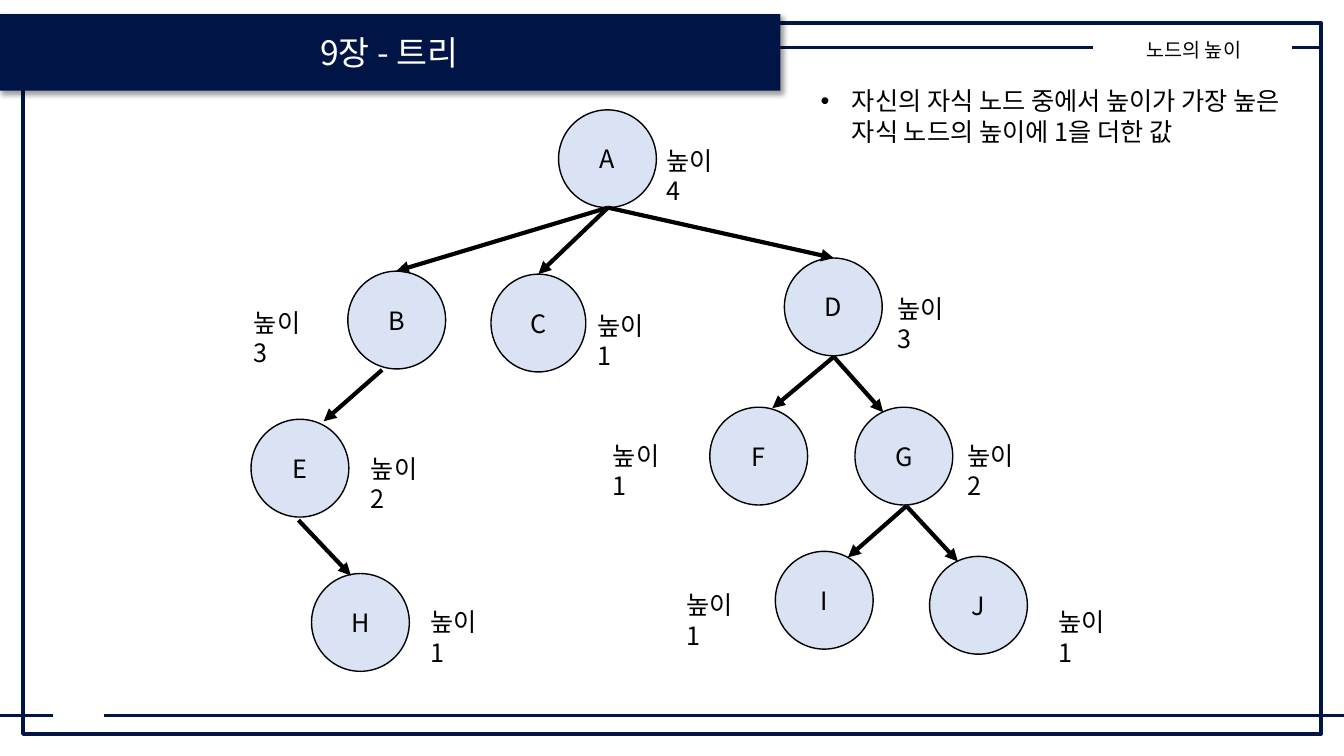
from collections import namedtuple
from dataclasses import dataclass

from lxml.etree import SubElement
from pptx import Presentation
from pptx.dml.color import RGBColor
from pptx.enum.shapes import MSO_CONNECTOR, MSO_SHAPE
from pptx.enum.text import MSO_ANCHOR as Anchor, MSO_AUTO_SIZE as AutoSize, PP_ALIGN as Align
from pptx.oxml.ns import qn
from pptx.util import Pt

EMU_PER_PX = 9144  # 100 px to the inch


@dataclass(frozen=True)
class Theme:
    font: str = "Noto Sans CJK KR"
    navy: str = "001545"
    node: str = "DAE3F3"
    ink: str = "000000"
    paper: str = "FFFFFF"
    title: int = 24
    body: int = 18
    caption: int = 14
    frame_line: int = 3
    rule_line: int = 2
    node_line: int = 1


THEME = Theme()
Box = namedtuple("Box", "left top width height")
Node = namedtuple("Node", "x y width height label parent entry")

NODE_SIZE = 97
LABEL_SIZE = (84, 40)

# Places are relative to the tree box; entry is where the parent's arrow lands
NODES = {
    "A": Node(314, 9, NODE_SIZE, 4, (411, 39), None, None),
    "B": Node(105, 169, NODE_SIZE, 3, (2, 200), "A", (153, 169)),
    "C": Node(247, 172, 94, 1, (343, 203), "A", (294, 172)),
    "D": Node(538, 156, NODE_SIZE, 3, (640, 186), "A", (587, 156)),
    "E": Node(9, 316, NODE_SIZE, 2, (118, 345), "B", (81, 318)),
    "F": Node(464, 304, NODE_SIZE, 1, (358, 332), "D", (526, 305)),
    "G": Node(608, 304, NODE_SIZE, 2, (710, 332), "D", (636, 309)),
    "H": Node(69, 469, NODE_SIZE, 1, (177, 497), "E", (108, 471)),
    "I": Node(529, 447, NODE_SIZE, 1, (431, 480), "G", (601, 453)),
    "J": Node(682, 452, NODE_SIZE, 1, (800, 497), "G", (710, 457)),
}
EXITS = {"A": (363, 106), "B": (139, 267), "D": (587, 254), "E": (56, 416), "G": (659, 402)}


def px(length):
    return length * EMU_PER_PX


def emu(*lengths):
    return [px(length) for length in lengths]


def color(code):
    return RGBColor.from_string(code)


def write(shape, text, size=THEME.body, ink=THEME.ink, align=Align.LEFT,
          anchor=Anchor.TOP, grow=False, bullet_indent=0):
    frame = shape.text_frame
    frame.word_wrap = True
    frame.vertical_anchor = anchor
    if grow:
        frame.auto_size = AutoSize.SHAPE_TO_FIT_TEXT
    paragraph = frame.paragraphs[0]
    paragraph.alignment = align
    if bullet_indent:
        props = paragraph._p.get_or_add_pPr()
        props.set("marL", str(px(bullet_indent)))
        props.set("indent", str(-px(bullet_indent)))
        SubElement(props, qn("a:buFont"), typeface="Arial")
        SubElement(props, qn("a:buChar"), char="•")
    run = paragraph.add_run()
    run.text = text
    run.font.size = Pt(size)
    run.font.name = THEME.font
    run.font.color.rgb = color(ink)
    SubElement(run._r.get_or_add_rPr(), qn("a:ea"), typeface=THEME.font)


def add_text(slide, box, text, **style):
    write(slide.shapes.add_textbox(*emu(*box)), text, grow=True, **style)


def add_figure(slide, preset, box, fill=None, line=None, weight=0):
    figure = slide.shapes.add_shape(preset, *emu(*box))
    figure.shadow.inherit = False
    if fill:
        figure.fill.solid()
        figure.fill.fore_color.rgb = color(fill)
    else:
        figure.fill.background()
    if line:
        figure.line.color.rgb = color(line)
        figure.line.width = Pt(weight)
    else:
        figure.line.fill.background()
    return figure


def add_line(slide, start, end, ink, weight, arrow=False):
    line = slide.shapes.add_connector(MSO_CONNECTOR.STRAIGHT, *emu(*start, *end))
    line.line.color.rgb = color(ink)
    line.line.width = Pt(weight)
    if arrow:
        SubElement(line.line._get_or_add_ln(), qn("a:tailEnd"), type="triangle")
    SubElement(line._element.spPr, qn("a:effectLst"))


def add_drop_shadow(figure):
    effects = figure._element.spPr.find(qn("a:effectLst"))
    shadow = SubElement(effects, qn("a:outerShdw"), blurRad=str(Pt(4)), dist=str(Pt(3)),
                        dir="2700000", algn="tl", rotWithShape="0")
    shade = SubElement(shadow, qn("a:srgbClr"), val=THEME.ink)
    SubElement(shade, qn("a:alpha"), val="40000")


def draw_frame(slide, box):
    """Navy border with broken rules at the top and bottom."""
    border = Box(box.left + 23, box.top + 23, box.width - 46, box.height - 45)
    add_figure(slide, MSO_SHAPE.RECTANGLE, border, line=THEME.navy, weight=THEME.frame_line)
    rules = [(-2, 1084, 47), (1281, 1310, 47), (0, 53, 710), (103, 1333, 710)]
    for start, end, y in rules:
        add_line(slide, (box.left + start, box.top + y), (box.left + end, box.top + y),
                 THEME.navy, THEME.rule_line)


def draw_header(slide, box):
    """Title band, topic caption and definition."""
    band = add_figure(slide, MSO_SHAPE.RECTANGLE, Box(box.left - 2, box.top + 14, 776, 76),
                      fill=THEME.navy)
    add_drop_shadow(band)
    write(band, "9장 - 트리", size=THEME.title, ink=THEME.paper,
          align=Align.CENTER, anchor=Anchor.MIDDLE)
    add_text(slide, Box(box.left + 1058, box.top + 33, 252, 34), "노드의 높이",
             size=THEME.caption, align=Align.CENTER)
    add_text(slide, Box(box.left + 804, box.top + 80, 479, 71),
             "자신의 자식 노드 중에서 높이가 가장 높은 자식 노드의 높이에 1을 더한 값",
             bullet_indent=31)


def draw_tree(slide, box):
    """Circles, arrows from parent to child, and height labels."""
    def place(point):
        return box.left + point[0], box.top + point[1]

    for name, node in NODES.items():
        circle = add_figure(slide, MSO_SHAPE.OVAL,
                            Box(*place((node.x, node.y)), node.width, NODE_SIZE),
                            fill=THEME.node, line=THEME.ink, weight=THEME.node_line)
        write(circle, name, align=Align.CENTER, anchor=Anchor.MIDDLE)
    for node in NODES.values():
        if node.parent:
            add_line(slide, place(EXITS[node.parent]), place(node.entry),
                     THEME.ink, THEME.frame_line, arrow=True)
        add_text(slide, Box(*place(node.label), *LABEL_SIZE), f"높이 {node.height}")


def main():
    deck = Presentation()
    page = Box(0, 0, 1333, 750)
    deck.slide_width, deck.slide_height = emu(page.width, page.height)
    slide = deck.slides.add_slide(deck.slide_layouts[6])
    draw_frame(slide, page)
    draw_header(slide, Box(0, 0, page.width, 160))
    draw_tree(slide, Box(240, 100, 890, 580))
    deck.save("out.pptx")


if __name__ == "__main__":
    main()
